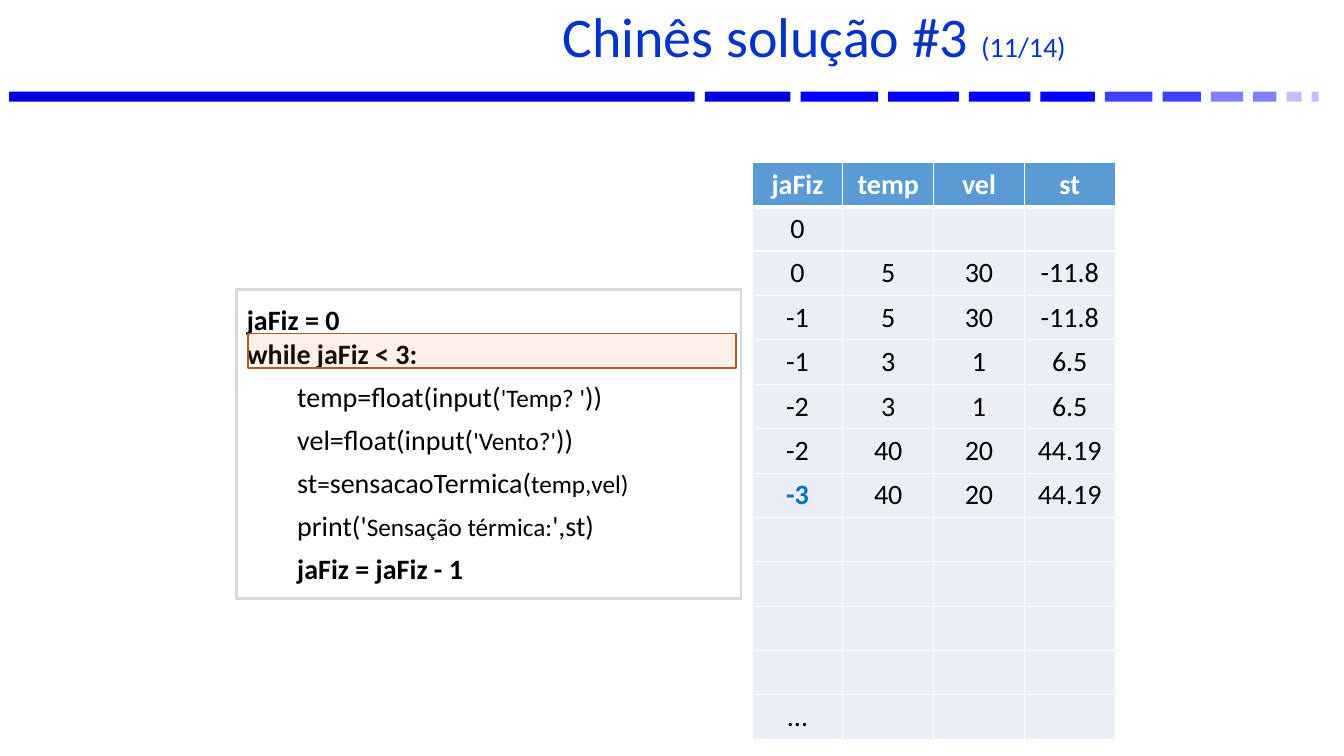
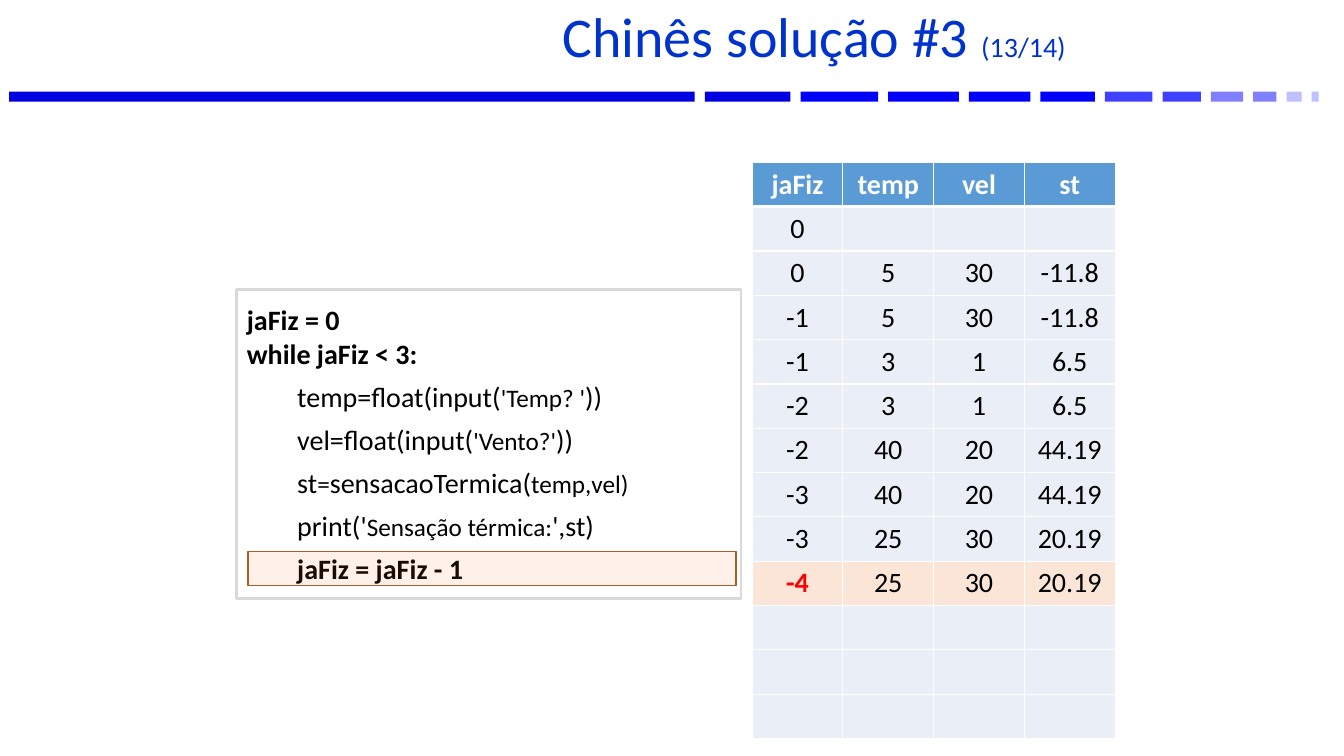
from lxml import etree
from pptx import Presentation
from pptx.dml.color import RGBColor
from pptx.enum.shapes import MSO_SHAPE as Shape
from pptx.enum.text import MSO_ANCHOR as Anchor, PP_ALIGN as Align
from pptx.oxml.ns import qn
from pptx.util import Inches, Pt


class Theme:
    font = "Calibri"
    title_size, text_size, small_size = 40, 20, 18
    title, text, white = "0033CC", "000000", "FFFFFF"
    header, cell, active_row = "5B9BD5", "EAEFF7", "FBE5D6"
    frame, marker, marker_line = "D9D9D9", "ED7D31", "AF5C24"
    new_value, last_value = "0070C0", "FF0000"


BAR_GAP = 0.1
BARS = [
    (6.8, "0000E0"), (0.85, "0000E0"), (0.77, "0000FF"), (0.7, "0000FF"),
    (0.61, "0000FF"), (0.54, "0000FF"), (0.47, "4040FF"), (0.38, "4040FF"),
    (0.32, "8080FF"), (0.23, "8080FF"), (0.15, "C0C0FF"), (0.07, "C0C0FF"),
]

# Each code line: indented, bold, runs of (text, size)
BIG, SMALL = Theme.text_size, Theme.small_size
CODE = [
    (False, True, [("jaFiz = 0", BIG)]),
    (False, True, [("while jaFiz < 3:", BIG)]),
    (True, False, [("temp=float(input(", BIG), ("'Temp? '", SMALL), ("))", BIG)]),
    (True, False, [("vel=float(input(", BIG), ("'Vento?'", SMALL), ("))", BIG)]),
    (True, False, [("st", BIG), ("=", SMALL), ("sensacaoTermica(", BIG), ("temp,vel)", SMALL)]),
    (True, False, [("print('", BIG), ("Sensação térmica:", SMALL), ("',st)", BIG)]),
    (True, True, [("jaFiz = jaFiz - 1", BIG)]),
]

HEADINGS = ("jaFiz", "temp", "vel", "st")
TRACE = [
    ("0",),
    ("0", "5", "30", "-11.8"),
    ("-1", "5", "30", "-11.8"),
    ("-1", "3", "1", "6.5"),
    ("-2", "3", "1", "6.5"),
    ("-2", "40", "20", "44.19"),
    ("-3", "40", "20", "44.19"),
    ("-3", "25", "30", "20.19"),
    ("-4", "25", "30", "20.19"),
]
TABLE_ROWS, COLUMN_WIDTH, ROW_HEIGHT = 13, 0.9, 0.44

STEPS = [
    {"number": "(11/14)", "trace": TRACE[:7], "accent": Theme.new_value,
     "active_fill": Theme.cell, "last_row": "...", "marker_top": 3.31},
    {"number": "(13/14)", "trace": TRACE, "accent": Theme.last_value,
     "active_fill": Theme.active_row, "last_row": "", "marker_top": 5.47},
]


def add_run(paragraph, text, size, color=Theme.text, bold=False):
    run = paragraph.add_run()
    run.text = text
    for name, value in {"name": Theme.font, "size": Pt(size), "bold": bold}.items():
        setattr(run.font, name, value)
    run.font.color.rgb = RGBColor.from_string(color)


def add_box(slide, left, top, width, height, fill, line=None, line_width=1):
    box = slide.shapes.add_shape(
        Shape.RECTANGLE, Inches(left), Inches(top), Inches(width), Inches(height))
    box.shadow.inherit = False
    box.fill.solid()
    box.fill.fore_color.rgb = RGBColor.from_string(fill)
    if line:
        box.line.color.rgb = RGBColor.from_string(line)
        box.line.width = Pt(line_width)
    else:
        box.line.fill.background()
    return box


presentation = Presentation()
presentation.slide_width = Inches(13.33)
presentation.slide_height = Inches(7.5)

for step in STEPS:
    slide = presentation.slides.add_slide(presentation.slide_layouts[6])

    # Fading band
    bar_left = 0.09
    for bar_width, bar_color in BARS:
        add_box(slide, bar_left, 0.91, bar_width, 0.1, bar_color)
        bar_left += bar_width + BAR_GAP

    # Variable trace table
    table_shape = slide.shapes.add_table(
        TABLE_ROWS, len(HEADINGS), Inches(7.46), Inches(1.61),
        Inches(COLUMN_WIDTH * len(HEADINGS)), Inches(ROW_HEIGHT * TABLE_ROWS))
    table = table_shape.table
    table.horz_banding = False
    for column in table.columns:
        column.width = Inches(COLUMN_WIDTH)

    filled_rows = [HEADINGS, *step["trace"]]
    active_row = len(filled_rows) - 1
    blank_rows = [()] * (TABLE_ROWS - len(filled_rows) - 1)
    rows = [*filled_rows, *blank_rows, (step["last_row"],)]
    for row_index, values in enumerate(rows):
        table.rows[row_index].height = Inches(ROW_HEIGHT)
        is_header, is_active = row_index == 0, row_index == active_row
        fill = Theme.header if is_header else step["active_fill"] if is_active else Theme.cell
        borders = {"a:lnL": 1, "a:lnR": 1, "a:lnT": 3 if row_index == 1 else 1,
                   "a:lnB": 3 if is_header else 1}
        for column_index in range(len(HEADINGS)):
            cell = table.cell(row_index, column_index)
            cell.vertical_anchor = Anchor.MIDDLE
            properties = cell._tc.get_or_add_tcPr()
            for tag, width in borders.items():
                border = etree.SubElement(properties, qn(tag), w=str(Pt(width)))
                border_fill = etree.SubElement(border, qn("a:solidFill"))
                etree.SubElement(border_fill, qn("a:srgbClr"), val=Theme.white)
            cell.fill.solid()
            cell.fill.fore_color.rgb = RGBColor.from_string(fill)
            if column_index < len(values) and values[column_index]:
                accented = is_active and column_index == 0
                color = Theme.white if is_header else step["accent"] if accented else Theme.text
                paragraph = cell.text_frame.paragraphs[0]
                paragraph.alignment = Align.CENTER
                add_run(paragraph, values[column_index], Theme.text_size, color,
                        is_header or accented)

    # Title
    title = slide.shapes.add_textbox(Inches(2.57), Inches(0.06), Inches(10.76), Inches(0.7))
    title_format = {"word_wrap": True, "vertical_anchor": Anchor.MIDDLE,
                    "margin_left": Inches(0.35)}
    for name, value in title_format.items():
        setattr(title.text_frame, name, value)
    paragraph = title.text_frame.paragraphs[0]
    paragraph.alignment = Align.CENTER
    paragraph.line_spacing = 0.8
    add_run(paragraph, "Chinês solução #3 ", Theme.title_size, Theme.title)
    add_run(paragraph, step["number"], Theme.text_size, Theme.title)

    # Code listing
    code_box = add_box(slide, 2.35, 2.87, 5, 3.07, Theme.white, Theme.frame, 2)
    code_format = {"word_wrap": True, "vertical_anchor": Anchor.MIDDLE,
                   "margin_top": 0, "margin_bottom": 0}
    for name, value in code_format.items():
        setattr(code_box.text_frame, name, value)
    for line_index, (indented, bold, runs) in enumerate(CODE):
        frame = code_box.text_frame
        paragraph = frame.add_paragraph() if line_index else frame.paragraphs[0]
        paragraph.alignment = Align.LEFT
        if indented:
            paragraph.level = 1
            paragraph.line_spacing = 1.2
            paragraph.space_before = Pt(2)
            paragraph._p.get_or_add_pPr().set("marL", str(Inches(0.5)))
        for text, size in runs:
            add_run(paragraph, text, size, bold=bold)

    # Translucent marker over the current line
    marker = add_box(slide, 2.46, step["marker_top"], 4.84, 0.34,
                     Theme.marker, Theme.marker_line)
    marker_color = marker.fill._xPr.find(qn("a:solidFill")).find(qn("a:srgbClr"))
    etree.SubElement(marker_color, qn("a:alpha"), val="10000")

presentation.save("out.pptx")
